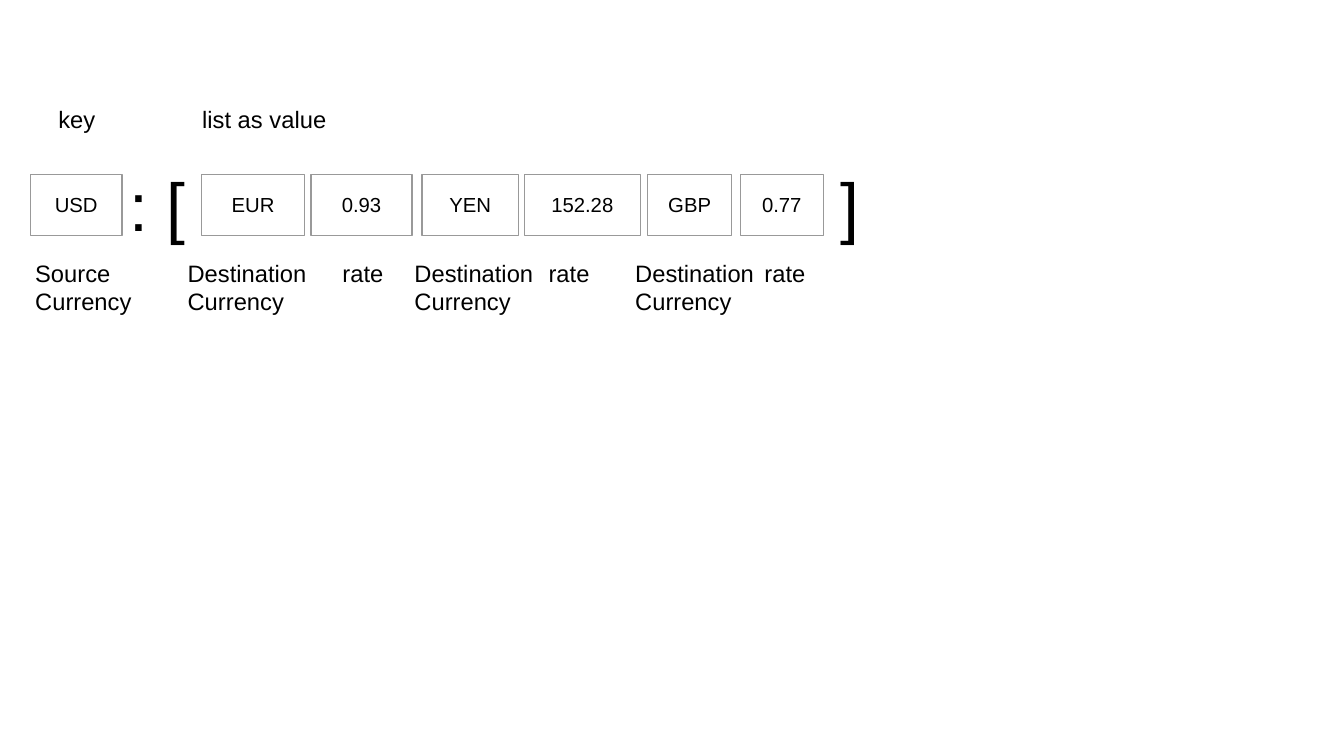
from dataclasses import dataclass

from pptx import Presentation
from pptx.dml.color import RGBColor
from pptx.enum.shapes import MSO_SHAPE
from pptx.enum.text import MSO_ANCHOR, MSO_AUTO_SIZE, PP_ALIGN
from pptx.util import Inches, Pt

RECTANGLE = MSO_SHAPE.RECTANGLE
MIDDLE = MSO_ANCHOR.MIDDLE
CENTER = PP_ALIGN.CENTER
GROW = MSO_AUTO_SIZE.SHAPE_TO_FIT_TEXT
BLANK_LAYOUT = 6


@dataclass(frozen=True)
class Theme:
    font: str = "Arial"
    text: RGBColor = RGBColor(0x00, 0x00, 0x00)
    border: RGBColor = RGBColor(0x99, 0x99, 0x99)
    border_width: float = 0
    cell_size: float = 12
    label_size: float = 14
    bracket_size: float = 40


class SlideBuilder:
    def __init__(self, slide, theme):
        self.slide = slide
        self.theme = theme

    def add_run(self, paragraph, text, size):
        run = paragraph.add_run()
        run.text = text
        run.font.name = self.theme.font
        run.font.size = Pt(size)
        run.font.color.rgb = self.theme.text

    def cell(self, text, left, top, width, height):
        shape = self.slide.shapes.add_shape(
            RECTANGLE, Inches(left), Inches(top), Inches(width), Inches(height))
        shape.shadow.inherit = False
        shape.fill.background()
        shape.line.color.rgb = self.theme.border
        shape.line.width = Pt(self.theme.border_width)
        shape.text_frame.vertical_anchor = MIDDLE
        paragraph = shape.text_frame.paragraphs[0]
        paragraph.alignment = CENTER
        self.add_run(paragraph, text, self.theme.cell_size)

    def text(self, text, left, top, width, height, size):
        box = self.slide.shapes.add_textbox(
            Inches(left), Inches(top), Inches(width), Inches(height))
        box.text_frame.word_wrap = True
        box.text_frame.auto_size = GROW
        self.add_run(box.text_frame.paragraphs[0], text, size)

    def label(self, text, left, top, width, height=0.54):
        self.text(text, left, top, width, height, self.theme.label_size)

    def bracket(self, text, left, top, width, height=0.72):
        self.text(text, left, top, width, height, self.theme.bracket_size)


HEADING_TOP = 0.81
BRACKET_TOP = 1.29
CELL_TOP = 1.43
CELL_HEIGHT = 0.5
LABEL_TOP = 2.07

HEADINGS = [("key", 0.38, 1), ("list as value", 1.56, 3.24)]
CELLS = [
    ("USD", 0.25, 0.75),
    ("EUR", 1.65, 0.85), ("0.93", 2.55, 0.83),
    ("YEN", 3.46, 0.79), ("152.28", 4.3, 0.95),
    ("GBP", 5.31, 0.69), ("0.77", 6.07, 0.68),
]
BRACKETS = [(": [", 0.96, 0.7), ("]", 6.79, 0.5)]
DESTINATION_AND_RATE_LEFTS = [(1.44, 2.71), (3.3, 4.4), (5.11, 6.17)]


def main():
    presentation = Presentation()
    presentation.slide_width = Inches(11.02)
    presentation.slide_height = Inches(6.2)
    slide = presentation.slides.add_slide(presentation.slide_layouts[BLANK_LAYOUT])
    builder = SlideBuilder(slide, Theme())

    for text, left, width in HEADINGS:
        builder.label(text, left, HEADING_TOP, width)
    for text, left, width in CELLS:
        builder.cell(text, left, CELL_TOP, width, CELL_HEIGHT)
    for text, left, width in BRACKETS:
        builder.bracket(text, left, BRACKET_TOP, width)

    builder.label("Source Currency", 0.19, LABEL_TOP, 1)
    for destination_left, rate_left in DESTINATION_AND_RATE_LEFTS:
        builder.label("Destination Currency", destination_left, LABEL_TOP, 1.34)
        builder.label("rate", rate_left, LABEL_TOP, 0.77)

    presentation.save("out.pptx")


if __name__ == "__main__":
    main()
